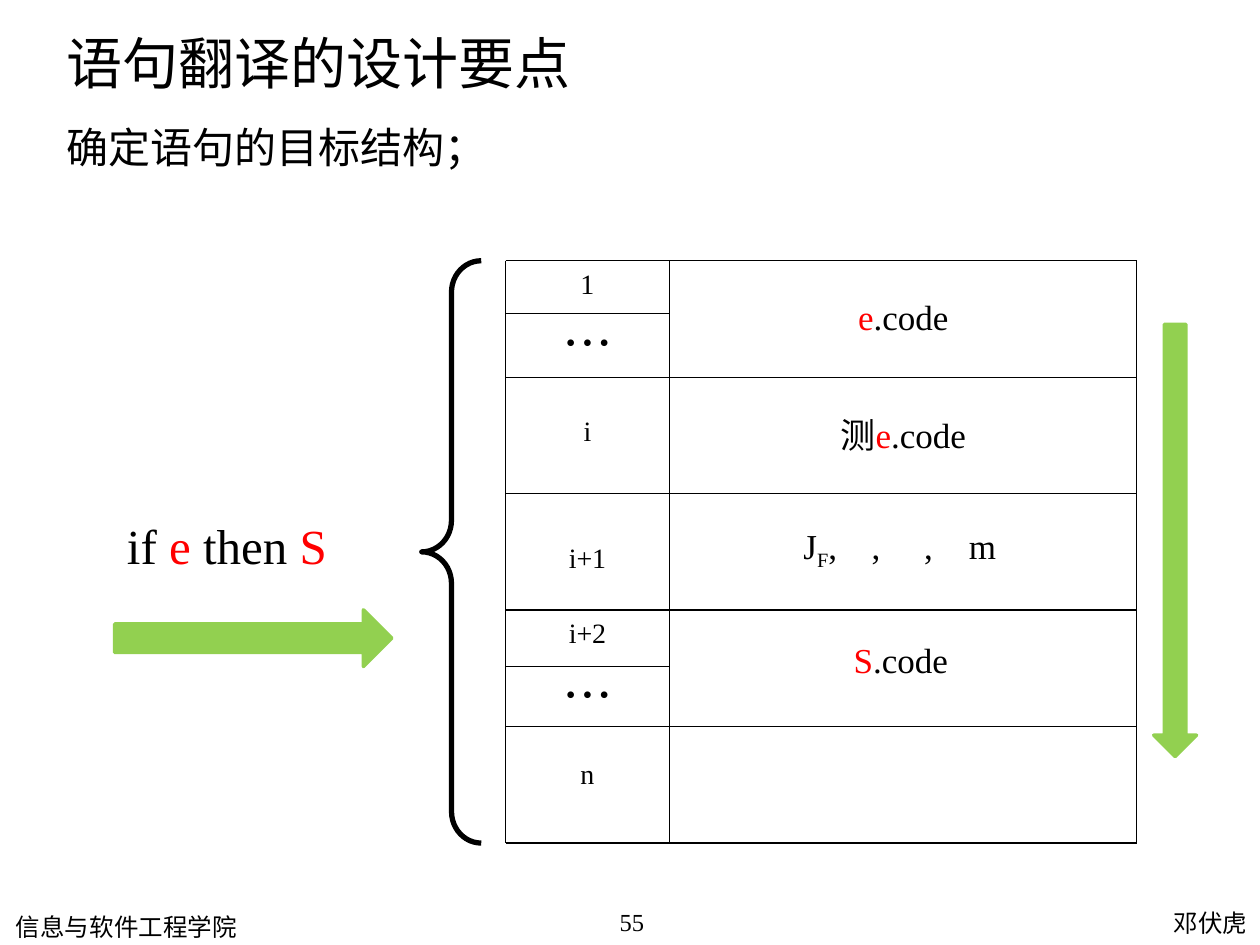
from lxml.etree import SubElement
from pptx import Presentation
from pptx.dml.color import RGBColor
from pptx.enum.shapes import MSO_CONNECTOR, MSO_SHAPE
from pptx.enum.text import PP_ALIGN as ALIGN
from pptx.oxml.ns import qn
from pptx.util import Pt

COLORS = {"ink": "000000", "accent": "FF0000", "arrow": "92D050"}
SERIF, CJK = "Times New Roman", "Noto Sans CJK SC"

# Code layout grid: five equal rows, two columns
LEFT, MIDDLE, RIGHT = 289, 382.5, 649.5
TOP, ROW_HEIGHT, ROWS = 149, 66.55, 5
BOTTOM = TOP + ROWS * ROW_HEIGHT


def rgb(name):
    return RGBColor.from_string(COLORS[name])


class SlideBuilder:
    """Holds the text style and the slide being drawn."""

    def __init__(self, slide, font=SERIF, color="ink"):
        self.slide, self.font, self.color = slide, font, color

    def text(self, content, x, y, w, h, size=16, font=None, align=ALIGN.LEFT,
             wrap=True, inset=7.2, tabs=()):
        """Content is a string or a list of (text, colour, is_subscript) runs."""
        tf = self.slide.shapes.add_textbox(Pt(x), Pt(y), Pt(w), Pt(h)).text_frame
        tf.word_wrap = wrap
        tf.margin_left = Pt(inset)
        p = tf.paragraphs[0]
        p.alignment = align
        if tabs:
            tab_list = SubElement(p._p.get_or_add_pPr(), qn("a:tabLst"))
            for position in tabs:
                SubElement(tab_list, qn("a:tab"), pos=str(Pt(position)), algn="l")
        runs = [(content, self.color, False)] if isinstance(content, str) else content
        for run_text, color, subscript in runs:
            r = p.add_run()
            r.text = run_text
            r.font.size = Pt(size)
            r.font.color.rgb = rgb(color)
            r.font.name = font or self.font
            r_pr = r.font._element
            SubElement(r_pr, qn("a:ea"), typeface=CJK)
            if subscript:
                r_pr.set("baseline", "-25000")

    def line(self, x1, y1, x2, y2):
        sp = self.slide.shapes.add_connector(
            MSO_CONNECTOR.STRAIGHT, Pt(x1), Pt(y1), Pt(x2), Pt(y2))
        sp.line.color.rgb = rgb("ink")
        sp.line.width = Pt(0.75)
        SubElement(sp._element.spPr, qn("a:effectLst"))

    def shape(self, kind, x, y, w, h, line, width, fill=None, rotation=0):
        sp = self.slide.shapes.add_shape(kind, Pt(x), Pt(y), Pt(w), Pt(h))
        sp.shadow.inherit = False
        sp.rotation = rotation
        if fill:
            sp.fill.solid()
            sp.fill.fore_color.rgb = rgb(fill)
        else:
            sp.fill.background()
        sp.line.color.rgb = rgb(line)
        sp.line.width = Pt(width)
        return sp

    def arrow(self, x, y, w, h, rotation=0):
        self.shape(MSO_SHAPE.RIGHT_ARROW, x, y, w, h, "arrow", 2, "arrow", rotation)


def draw_grid(s):
    for row in range(ROWS + 1):
        y = TOP + row * ROW_HEIGHT
        s.line(LEFT, y, RIGHT, y)
    for x in (LEFT, MIDDLE, RIGHT):
        s.line(x, TOP, x, BOTTOM)
    for y in (179.3, 381):
        s.line(LEFT, y, MIDDLE, y)


def draw_cells(s):
    addresses = [("1", 149), ("• • •", 182), ("i", 232.5), ("i+1", 305.5),
                 ("i+2", 348.5), ("• • •", 383), ("n", 428.5)]
    for label, y in addresses:
        s.text(label, LEFT, y, MIDDLE - LEFT, 26.6, align=ALIGN.CENTER)

    code = (".code", "ink", False)
    instructions = [
        ([("e", "accent", False), code], 383, 165.6),
        ([("测", "ink", False), ("e", "accent", False), code], 383, 232.5),
        ([("S", "accent", False), code], 381.6, 361.5),
    ]
    for runs, x, y in instructions:
        s.text(runs, x, y, 266.4, 31.7, size=20, align=ALIGN.CENTER)
    jump = [("J", "ink", False), ("F", "ink", True), (",\t,\t,\tm", "ink", False)]
    s.text(jump, 381.6, 296, 266.4, 31.7, size=20, inset=77.5, tabs=(39, 69, 94.5))


def main():
    prs = Presentation()
    prs.slide_width, prs.slide_height = Pt(720), Pt(540)
    s = SlideBuilder(prs.slides.add_slide(prs.slide_layouts[6]))

    s.text("语句翻译的设计要点", 31, 13, 515.5, 52.5, size=32, font=CJK)
    s.text("确定语句的目标结构；", 31, 66, 652, 446, size=24)

    brace = s.shape(MSO_SHAPE.LEFT_BRACE, 241, TOP, 34, BOTTOM - TOP, "ink", 3)
    brace.adjustments[0] = 0.53
    statement = [("if ", "ink", False), ("e", "accent", False),
                 (" then ", "ink", False), ("S", "accent", False)]
    s.text(statement, 65.5, 291, 129.6, 41, size=28, wrap=False)

    draw_grid(s)
    draw_cells(s)

    s.arrow(65.5, 348.5, 158.4, 32.4)
    s.arrow(548, 296.6, 247, 24.5, rotation=90)

    s.text("邓伏虎", 422, 515.5, 298, 28.8, size=14, font=CJK, align=ALIGN.RIGHT)
    s.text("信息与软件工程学院", 2, 517.7, 298, 28.8, size=14, font=CJK)
    s.text("55", 315.4, 514.8, 91.4, 28.8, size=14, align=ALIGN.CENTER)

    prs.save("out.pptx")


if __name__ == "__main__":
    main()
